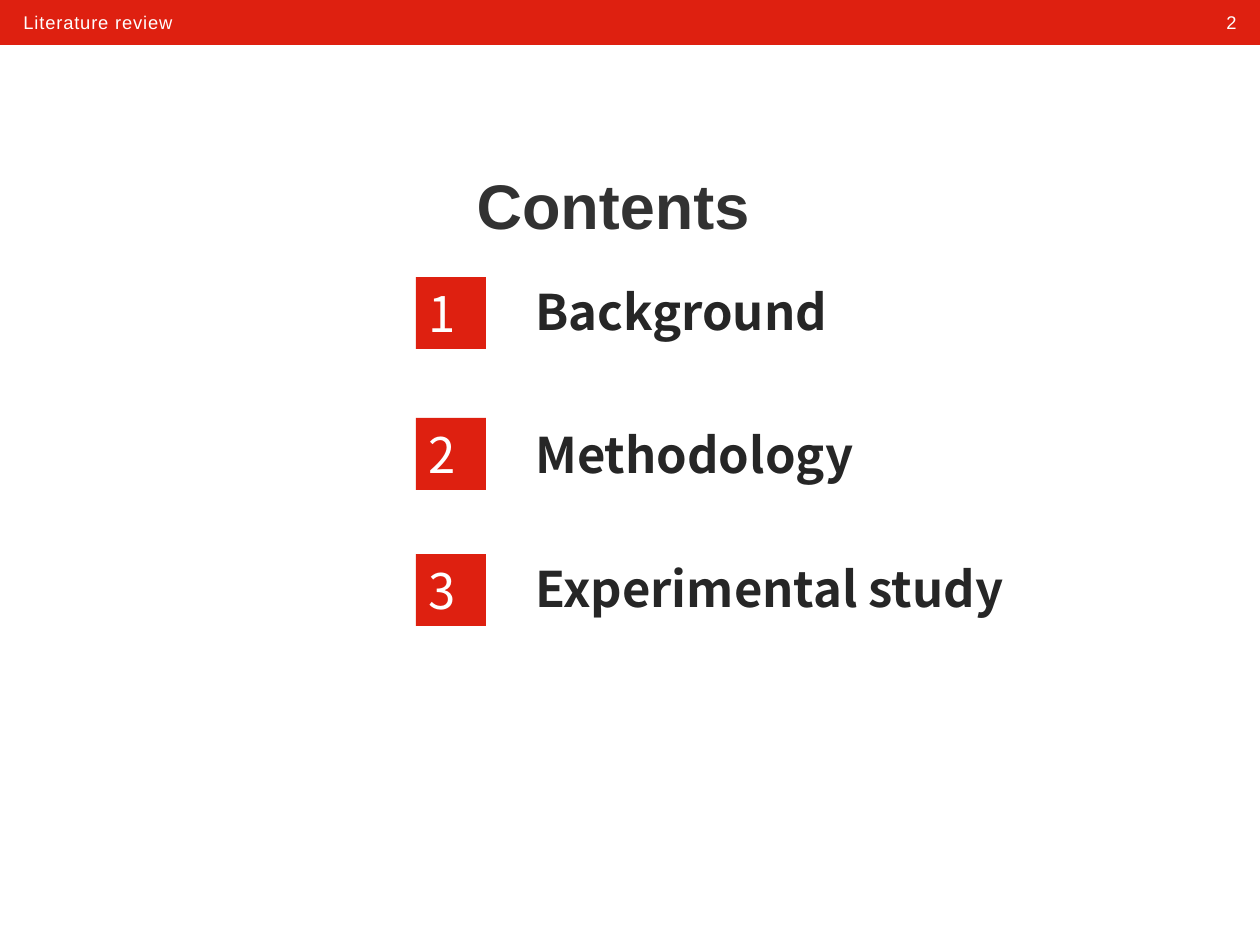
from pptx import Presentation
from pptx.dml.color import RGBColor
from pptx.enum.shapes import MSO_SHAPE
from pptx.enum.text import MSO_ANCHOR, PP_ALIGN
from pptx.util import Pt

RED = RGBColor(0xDE, 0x20, 0x10)
WHITE = RGBColor(0xFF, 0xFF, 0xFF)
GREY = RGBColor(0x32, 0x32, 0x32)
DARK = RGBColor(0x26, 0x26, 0x26)
RECT = MSO_SHAPE.RECTANGLE
MIDDLE = MSO_ANCHOR.MIDDLE
LEFT, CENTER, RIGHT = PP_ALIGN.LEFT, PP_ALIGN.CENTER, PP_ALIGN.RIGHT

SCALE = 914400 / 126
HEAD = {"name": "Arial", "size": Pt(10.5)}
TITLE = {"name": "Arial", "size": Pt(36), "bold": True}
BADGE = {"name": "Noto Sans CJK SC", "size": Pt(28)}
LABEL = {**BADGE, "bold": True}
ITEMS = [
    ("Background", 277, 275),
    ("Methodology", 418, 418),
    ("Experimental study", 554, 552),
]


def px(*vals):
    return [round(v * SCALE) for v in vals]


def write(shape, text, style, color, align=LEFT, gap=0):
    frame = shape.text_frame
    frame.word_wrap = True
    frame.vertical_anchor = MIDDLE
    para = frame.paragraphs[0]
    para.alignment = align
    run = para.add_run()
    run.text = text
    for key, val in style.items():
        setattr(run.font, key, val)
    run.font.color.rgb = color
    if gap:
        run._r.get_or_add_rPr().set("spc", str(gap))


def add_box(slide, *area):
    box = slide.shapes.add_shape(RECT, *px(*area))
    box.shadow.inherit = False
    box.fill.solid()
    box.fill.fore_color.rgb = RED
    box.line.fill.background()
    return box


def add_text(slide, area, *args, **kwargs):
    write(slide.shapes.add_textbox(*px(*area)), *args, **kwargs)


def add_header(slide):
    add_box(slide, 0, 0, 1260, 45)
    add_text(slide, (1158, 5, 91, 35), "2", HEAD, WHITE, RIGHT, gap=50)
    add_text(slide, (11, 5, 788, 35), "Literature review", HEAD, WHITE, gap=50)


def add_item(slide, num, text, top, base):
    write(add_box(slide, 416, top, 70, 72), str(num), BADGE, WHITE)
    add_text(slide, (523, base, 653, 72), text, LABEL, DARK)


def main():
    deck = Presentation()
    deck.slide_width, deck.slide_height = px(1260, 945)
    slide = deck.slides.add_slide(deck.slide_layouts[6])
    add_header(slide)
    add_text(slide, (38, 164, 1150, 81), "Contents", TITLE, GREY, CENTER)
    for num, item in enumerate(ITEMS, 1):
        add_item(slide, num, *item)
    deck.save("out.pptx")


if __name__ == "__main__":
    main()
